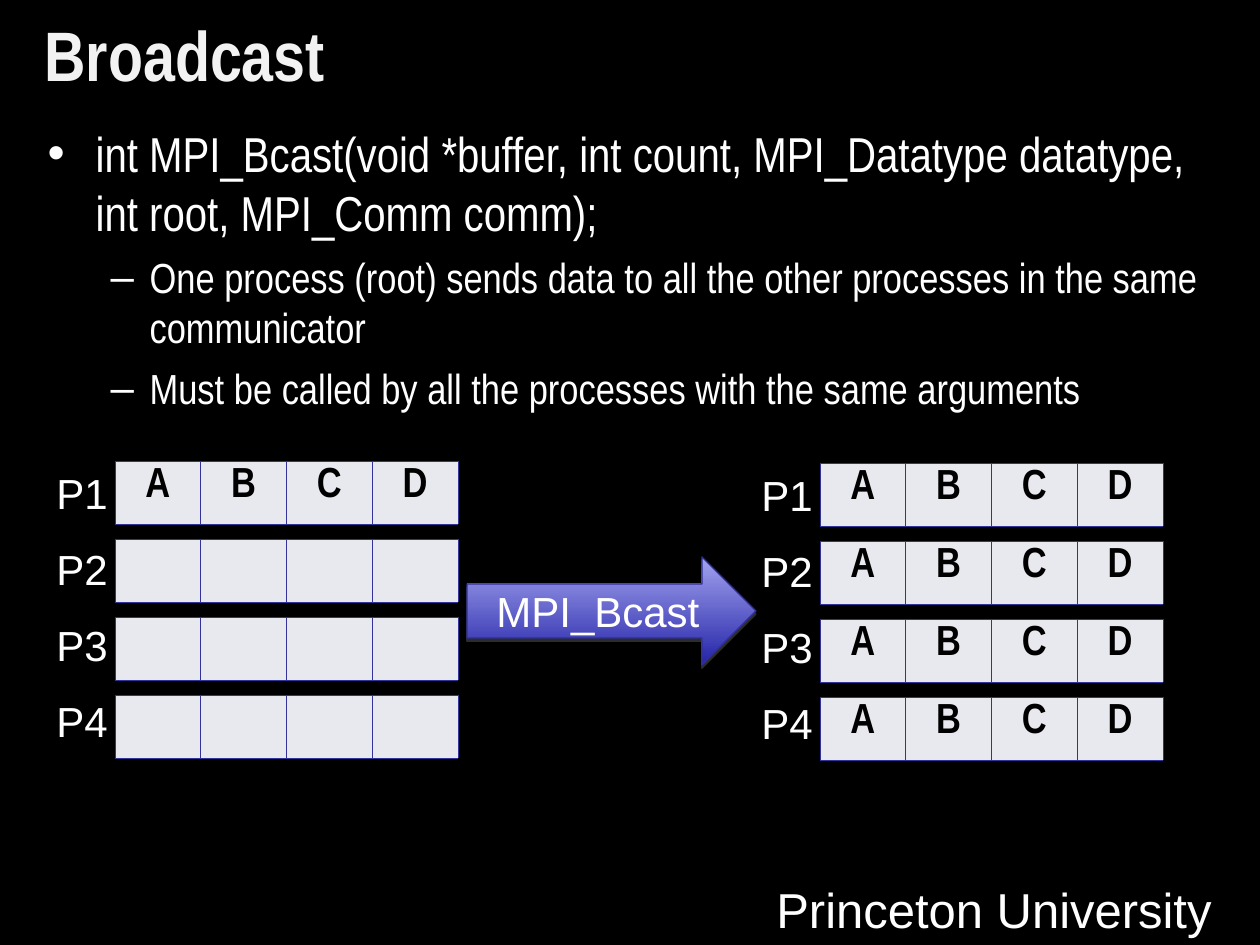
from lxml.etree import SubElement
from pptx import Presentation
from pptx.dml.color import RGBColor
from pptx.enum.shapes import MSO_SHAPE
from pptx.enum.text import MSO_ANCHOR, MSO_AUTO_SIZE, PP_ALIGN
from pptx.oxml.ns import qn
from pptx.util import Emu, Pt

PX_PER_INCH = 126
COLORS = {
    "background": "000000", "title": "F2F2F2", "text": "FFFFFF",
    "cell": "E8E8EF", "cell_text": "000000", "border": "333399",
    "arrow_top": "A3A3EF", "arrow_bottom": "2424A8",
    "arrow_line": "2F2F98", "shadow": "808080",
}
SIGNATURE = ("int MPI_Bcast(void *buffer, int count, MPI_Datatype datatype, "
             "int root, MPI_Comm comm);")
NOTES = [
    "One process (root) sends data to all the other processes in the same communicator",
    "Must be called by all the processes with the same arguments",
]
DATA = ["A", "B", "C", "D"]
EMPTY = [""] * 4


def px(length):
    """Turn pixels into EMU."""
    return Emu(round(length * 914400 / PX_PER_INCH))


def color(name):
    """Look up a named colour."""
    return RGBColor.from_string(COLORS[name])


def style(paragraph, size, face, shade, bold=False):
    """Format every run of a paragraph."""
    for run in paragraph.runs:
        run.font.size = Pt(size)
        run.font.name = face
        run.font.bold = bold
        run.font.color.rgb = color(shade)


def place(shape, box):
    """Move a shape to a pixel box."""
    shape.left, shape.top, shape.width, shape.height = map(px, box)


def add_title(slide, box, wording):
    """Fill the title placeholder."""
    title = slide.shapes.title
    place(title, box)
    title.text_frame.text = wording
    title.text_frame.vertical_anchor = MSO_ANCHOR.MIDDLE
    title.text_frame.auto_size = MSO_AUTO_SIZE.NONE
    heading = title.text_frame.paragraphs[0]
    heading.alignment = PP_ALIGN.LEFT
    style(heading, 40, "Arial Narrow", "title", True)


def add_bullet(paragraph, mark, margin, hanging):
    """Give a paragraph a bullet and a hanging indent."""
    properties = paragraph._p.get_or_add_pPr()
    properties.set("marL", str(px(margin)))
    properties.set("indent", str(px(-hanging)))
    shade = SubElement(properties, qn("a:buClr"))
    SubElement(shade, qn("a:srgbClr"), val=COLORS["text"])
    SubElement(properties, qn("a:buChar"), char=mark)


def add_body(slide, box):
    """Fill the body placeholder with the signature and its notes."""
    body = slide.placeholders[1]
    place(body, box)
    frame = body.text_frame
    frame.text = "\n".join([SIGNATURE, *NOTES])
    frame.auto_size = MSO_AUTO_SIZE.NONE
    signature, *notes = frame.paragraphs
    add_bullet(signature, "•", 48, 48)
    signature.space_before = Pt(0)
    style(signature, 28, "Arial Narrow", "text")
    for note in notes:
        note.level = 1
        add_bullet(note, "–", 102, 39)
        note.space_before = Pt(6)
        style(note, 24, "Arial Narrow", "text")


def add_label(slide, box, wording, size):
    """Add a single-line text box."""
    label = slide.shapes.add_textbox(*map(px, box))
    frame = label.text_frame
    frame.text = wording
    frame.word_wrap = False
    frame.auto_size = MSO_AUTO_SIZE.SHAPE_TO_FIT_TEXT
    style(frame.paragraphs[0], size, "Arial", "text")


def add_borders(cell):
    """Draw thin lines on all four sides of a cell."""
    properties = cell._tc.get_or_add_tcPr()
    for side in ("a:lnL", "a:lnR", "a:lnT", "a:lnB"):
        line = SubElement(properties, qn(side), w=str(Pt(0.45)))
        SubElement(SubElement(line, qn("a:solidFill")), qn("a:srgbClr"),
                   val=COLORS["border"])


def add_buffer(slide, box, values):
    """Add a one-row table holding the buffer of a process."""
    buffer = slide.shapes.add_table(1, len(values), *map(px, box)).table
    buffer.first_row = buffer.horz_banding = False
    for cell, value in zip(buffer.iter_cells(), values):
        add_borders(cell)
        cell.fill.solid()
        cell.fill.fore_color.rgb = color("cell")
        if value:
            cell.text_frame.text = value
            entry = cell.text_frame.paragraphs[0]
            entry.alignment = PP_ALIGN.CENTER
            style(entry, 24, "Arial Narrow", "cell_text", True)


def add_processes(slide, left, top, buffers):
    """Stack the processes, each with its label and buffer."""
    for index, values in enumerate(buffers):
        add_buffer(slide, (left + 71, top + 78 * index, 343, 63), values)
        add_label(slide, (left, top + 76 * index, 77, 63), f"P{index + 1}", 24)


def add_arrow(slide, box, wording):
    """Add the shaded arrow that names the call."""
    arrow = slide.shapes.add_shape(MSO_SHAPE.RIGHT_ARROW, *map(px, box))
    arrow.fill.gradient()
    arrow.fill.gradient_angle = 270
    for stop, name in zip(arrow.fill.gradient_stops, ("arrow_top", "arrow_bottom")):
        stop.color.rgb = color(name)
    arrow.line.color.rgb = color("arrow_line")
    arrow.line.width = Pt(0.75)
    arrow.shadow.inherit = False
    effects = arrow._element.spPr.find(qn("a:effectLst"))
    shadow = SubElement(effects, qn("a:outerShdw"), blurRad="0", dist=str(Pt(1.8)),
                        dir="5400000", rotWithShape="0")
    shade = SubElement(shadow, qn("a:srgbClr"), val=COLORS["shadow"])
    SubElement(shade, qn("a:alpha"), val="35000")
    frame = arrow.text_frame
    frame.text = wording
    frame.word_wrap = False
    frame.vertical_anchor = MSO_ANCHOR.MIDDLE
    frame.margin_left = frame.margin_right = frame.margin_top = frame.margin_bottom = 0
    frame.paragraphs[0].alignment = PP_ALIGN.CENTER
    style(frame.paragraphs[0], 24, "Arial", "text")


def main():
    """Build the slide and save it."""
    deck = Presentation()
    deck.slide_width, deck.slide_height = px(1260), px(945)
    slide = deck.slides.add_slide(deck.slide_layouts[1])
    slide.background.fill.solid()
    slide.background.fill.fore_color.rgb = color("background")
    add_title(slide, (32, 0, 1197, 106), "Broadcast")
    add_body(slide, (35, 117, 1183, 318))
    add_processes(slide, 44, 461, [DATA, EMPTY, EMPTY, EMPTY])
    add_arrow(slide, (467, 557, 289, 108), "MPI_Bcast")
    add_processes(slide, 749, 463, [DATA] * 4)
    add_label(slide, (764, 873, 460, 72), "Princeton University", 28)
    deck.save("out.pptx")


if __name__ == "__main__":
    main()
